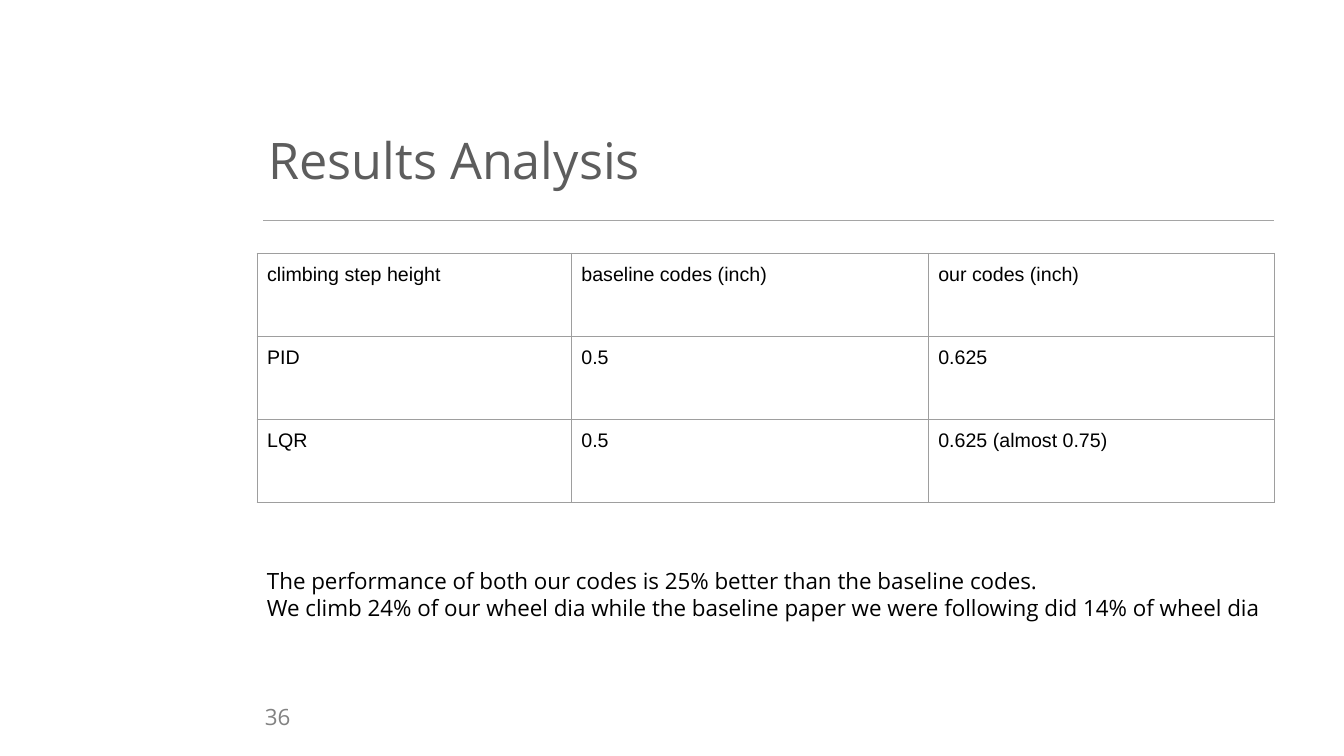
from lxml import etree
from pptx import Presentation
from pptx.dml.color import RGBColor
from pptx.enum.shapes import MSO_CONNECTOR
from pptx.enum.text import MSO_ANCHOR, PP_ALIGN
from pptx.oxml.ns import qn
from pptx.util import Pt

BLACK = RGBColor(0x00, 0x00, 0x00)
TITLE = RGBColor(0x5D, 0x5D, 0x5D)
NUMBER = RGBColor(0x82, 0x82, 0x82)
RULE = RGBColor(0xA5, 0xA5, 0xA5)
BORDER = RGBColor(0x9E, 0x9E, 0x9E)
STRAIGHT = MSO_CONNECTOR.STRAIGHT
TOP, MIDDLE = MSO_ANCHOR.TOP, MSO_ANCHOR.MIDDLE
LEFT, RIGHT = PP_ALIGN.LEFT, PP_ALIGN.RIGHT


def fill_text(frame, lines, size, font, color, align=LEFT):
    for i, line in enumerate(lines):
        para = frame.paragraphs[0] if i == 0 else frame.add_paragraph()
        para.text = line
        para.alignment = align
        para.font.size = Pt(size)
        para.font.name = font
        para.font.color.rgb = color


def add_text(box, lines, size, color, inset, anchor, align=LEFT):
    frame = slide.shapes.add_textbox(*map(Pt, box)).text_frame
    frame.word_wrap = True
    frame.vertical_anchor = anchor
    frame.margin_left = frame.margin_right = Pt(inset)
    frame.margin_top = frame.margin_bottom = Pt(inset)
    fill_text(frame, lines, size, "Open Sans", color, align)
    return frame


deck = Presentation()
deck.slide_width, deck.slide_height = Pt(960), Pt(540)
slide = deck.slides.add_slide(deck.slide_layouts[6])

# Rule under the title
rule = slide.shapes.add_connector(STRAIGHT, Pt(188), Pt(157.5), Pt(910), Pt(157.5))
rule.line.color.rgb = RULE
rule.line.width = Pt(1)
etree.SubElement(rule.line._ln.getparent(), qn("a:effectLst"))

# Page number and title
add_text((183.6, 498.2, 27.4, 26.6), ["36"], 16, NUMBER, 3.6, MIDDLE, RIGHT)
title = add_text((188, 91.4, 463, 51), ["Results Analysis"], 36, TITLE, 3.6, MIDDLE)
title.paragraphs[0].line_spacing = 0.9

# Table of step heights
rows = [
    ("climbing step height", "baseline codes (inch)", "our codes (inch)"),
    ("PID", "0.5", "0.625"),
    ("LQR", "0.5", "0.625 (almost 0.75)"),
]
widths = [224.5, 255, 247.5]
height = 59.3
grid = slide.shapes.add_table(
    len(rows), len(widths), Pt(183.6), Pt(180.9), Pt(sum(widths)), Pt(height * len(rows))
).table
grid.first_row = grid.horz_banding = False
for col, width in zip(grid.columns, widths):
    col.width = Pt(width)
for r, row in enumerate(rows):
    grid.rows[r].height = Pt(height)
    for c, word in enumerate(row):
        cell = grid.cell(r, c)
        cell.margin_left = cell.margin_right = Pt(7.2)
        cell.margin_top = cell.margin_bottom = Pt(7.2)
        fill_text(cell.text_frame, [word], 14, "Arial", BLACK)
        props = cell._tc.get_or_add_tcPr()
        for side in ("lnL", "lnR", "lnT", "lnB"):
            edge = etree.SubElement(props, qn("a:" + side), w=str(Pt(0.75)))
            paint = etree.SubElement(edge, qn("a:solidFill"))
            etree.SubElement(paint, qn("a:srgbClr"), val=str(BORDER))
        cell.fill.background()

# Findings
add_text(
    (183.6, 398.2, 743, 53.3),
    [
        "The performance of both our codes is 25% better than the baseline codes.",
        "We climb 24% of our wheel dia while the baseline paper we were following did 14% of wheel dia",
    ],
    16, BLACK, 7.2, TOP,
)

deck.save("out.pptx")
